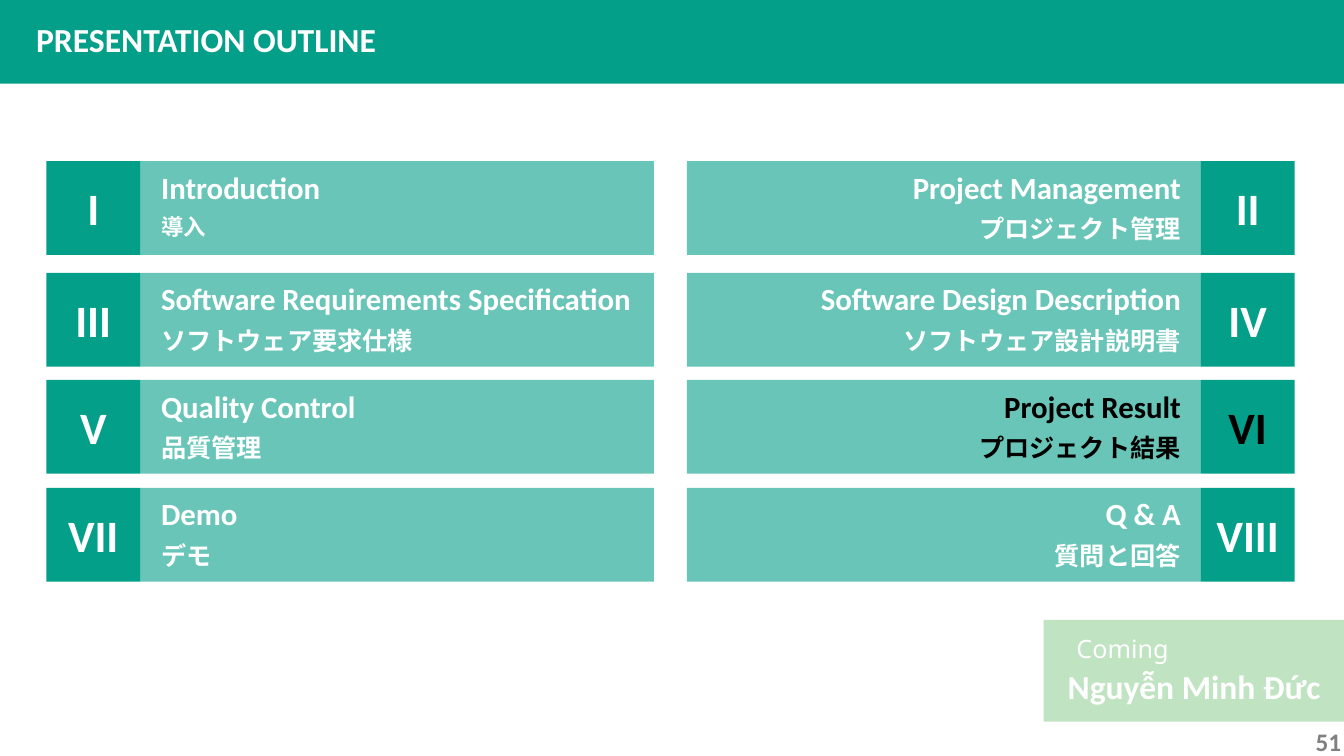
from pptx import Presentation
from pptx.dml.color import RGBColor as Rgb
from pptx.enum.shapes import MSO_SHAPE as Kind
from pptx.enum.text import PP_ALIGN as Align
from pptx.oxml.ns import qn
from pptx.util import Inches, Pt
from lxml.etree import SubElement as Sub

HUES = {"teal": "049F88", "green": "4CAF50", "white": "FFFFFF",
        "black": "000000", "gray": "808080"}

deck = Presentation()
deck.slide_width, deck.slide_height = Inches(13.33), Inches(7.5)
slide = deck.slides.add_slide(deck.slide_layouts[6])
COL, ROW = deck.slide_width / 100, deck.slide_height / 100


def block(x, y, w, h, hue, alpha=100):
    """Draw a plain rectangle; lengths are percent of the slide."""
    box = slide.shapes.add_shape(Kind.RECTANGLE, int(x * COL), int(y * ROW),
                                 int(w * COL), int(h * ROW))
    box.shadow.inherit = False
    box.line.fill.background()
    box.fill.solid()
    box.fill.fore_color.rgb = Rgb.from_string(HUES[hue])
    if alpha < 100:
        tone = box.fill._xPr.find(qn("a:solidFill"))[0]
        Sub(tone, qn("a:alpha")).set("val", str(alpha * 1000))


def label(text, x, y, w, h, size, hue="white", side=Align.LEFT,
          face="Calibri", bold=True):
    """Write one line; x is the left edge, centre or right edge, as side says."""
    shift = {Align.LEFT: 0, Align.CENTER: w / 2, Align.RIGHT: w}[side]
    box = slide.shapes.add_textbox(int((x - shift) * COL), int(y * ROW),
                                   int(w * COL), int(h * ROW))
    box.text_frame.word_wrap = False
    para = box.text_frame.paragraphs[0]
    para.alignment = side
    run = para.add_run()
    run.text = text
    font = run.font
    font.size, font.name, font.bold = Pt(size), face, bold
    font.color.rgb = Rgb.from_string(HUES[hue])


# Header
block(0, 0, 100, 11.07, "teal")
label("PRESENTATION OUTLINE", 1.95, 1.85, 27, 6.65, 24)

# Outline: each text is followed by its width
TOPS = [21.33, 36.1, 50.27, 64.53]
TALL = 12.4
SIDES = [  # number column, bar column, text edge, alignment
    (3.45, 10.4, 11.25, Align.LEFT),
    (89.35, 51.1, 88.6, Align.RIGHT),
]
PARTS = [
    ("I", 2.4, "Introduction", 13.5, "導入", 4.9),
    ("II", 3.3, "Project Management", 21.7, "プロジェクト管理", 16.8),
    ("III", 4.2, "Software Requirements Specification", 37,
     "ソフトウェア要求仕様", 20.5),
    ("IV", 4.4, "Software Design Description", 28.7,
     "ソフトウェア設計説明書", 22.5),
    ("V", 3.5, "Quality Control", 16.1, "品質管理", 9.15),
    ("VI", 4.4, "Project Result", 14.9, "プロジェクト結果", 16.8),
    ("VII", 5.3, "Demo", 7.3, "デモ", 5.3),
    ("VIII", 6.15, "Q & A", 7.2, "質問と回答", 11),
]
NOW = "VI"

for i, (num, num_w, name, name_w, kana, kana_w) in enumerate(PARTS):
    top = TOPS[i // 2]
    num_x, bar_x, edge, side = SIDES[i % 2]
    hue = "black" if num == NOW else "white"
    block(num_x, top, 6.98, TALL, "teal")
    label(num, num_x + 3.49, top + 1.95, num_w, 8.5, 32, hue, Align.CENTER)
    block(bar_x, top, 38.25, TALL, "teal", 60)
    label(name, edge, top + 0.3, name_w, 6.3, 22, hue, side)
    label(kana, edge, top + 6.25, kana_w, 5.35, 16 if i == 0 else 18, hue,
          side, "Times New Roman")

# Next speaker and page number
block(77.65, 82, 22.4, 13.45, "green", 35)
label("Coming", 79.35, 83.05, 9.1, 5.35, 18, face="Noto Sans", bold=False)
label("Nguyễn Minh Đức", 78.7, 87.45, 20.5, 6.65, 24)
label("51", 97.15, 95.45, 3.45, 5.35, 18, "gray")

deck.save("out.pptx")
